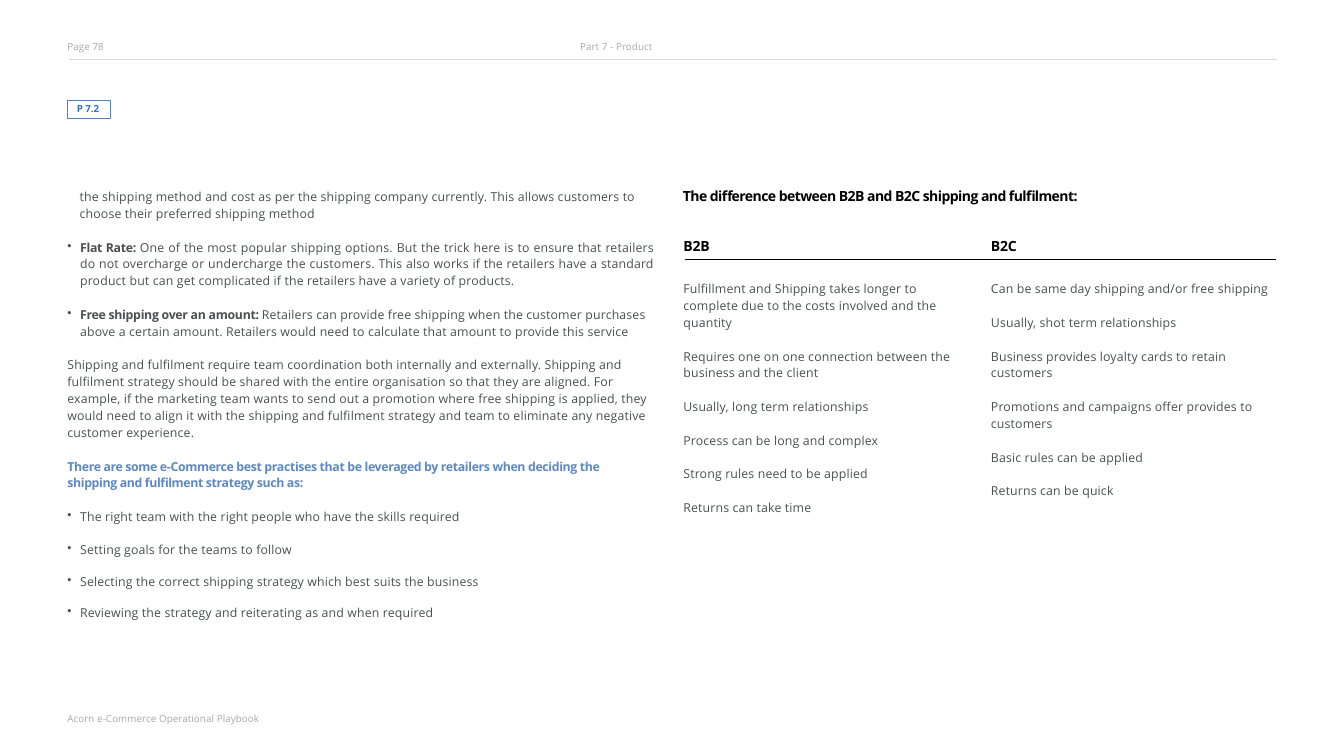
from lxml import etree
from pptx import Presentation
from pptx.dml.color import RGBColor
from pptx.enum.shapes import MSO_CONNECTOR, MSO_SHAPE
from pptx.enum.text import MSO_ANCHOR, PP_ALIGN
from pptx.oxml.ns import qn
from pptx.util import Cm, Pt

LINE = MSO_CONNECTOR.STRAIGHT
RECT = MSO_SHAPE.RECTANGLE
TOP = MSO_ANCHOR.TOP
LEFT, JUST = PP_ALIGN.LEFT, PP_ALIGN.JUSTIFY
FACE = "Open Sans"
ROW = 0.7
LEAD = 1.14

STYLES = {
    "body": ({"size": Pt(14.5), "bold": False}, "4B4F51", 17),
    "term": ({"size": Pt(14.5), "bold": True}, "4B4F51", -35),
    "lead": ({"size": Pt(14.5), "bold": True}, "5D88C0", -42),
    "title": ({"size": Pt(16.5), "bold": True}, "000000", -63),
    "head": ({"size": Pt(16.5), "bold": True}, "000000", -20),
    "note": ({"size": Pt(11.5), "bold": False}, "A7A8AA", 10),
    "tag": ({"size": Pt(11.5), "bold": True}, "2E75B5", -15),
}

ADVICE = [
    (2, 23.4, 0.51, LEFT, False, [("body", "the shipping method and cost as per the shipping company currently. "
     "This allows customers to choose their preferred shipping method")]),
    (3, 24.41, 0, JUST, True, [("term", "Flat Rate: "), ("body", "One of the most popular shipping options. "
     "But the trick here is to ensure that retailers do not overcharge or undercharge the customers. "
     "This also works if the retailers have a standard product but can get complicated "
     "if the retailers have a variety of products.")]),
    (2, 24.65, 0, LEFT, True, [("term", "Free shipping over an amount: "),
     ("body", "Retailers can provide free shipping when the customer purchases above a certain amount. "
      "Retailers would need to calculate that amount to provide this service")]),
    (5, 24.45, 0, LEFT, False, [("body", "Shipping and fulfilment require team coordination both internally "
     "and externally. Shipping and fulfilment strategy should be shared with the entire organisation "
     "so that they are aligned. For example, if the marketing team wants to send out a promotion "
     "where free shipping is applied, they would need to align it with the shipping and fulfilment "
     "strategy and team to eliminate any negative customer experience.")]),
    (2, 23.6, 0, LEFT, False, [("lead", "There are some e-Commerce best practises that be leveraged by retailers "
     "when deciding the shipping and fulfilment strategy such as:")]),
    (1, 17.3, 0, LEFT, True, [("body", "The right team with the right people who have the skills required")]),
]
GOALS = [
    "Setting goals for the teams to follow",
    "Selecting the correct shipping strategy which best suits the business",
    "Reviewing the strategy and reiterating as and when required",
]
TRADE = [
    (3, 10.75, "Fulfillment and Shipping takes longer to complete due to the costs involved and the quantity"),
    (2, 11.3, "Requires one on one connection between the business and the client"),
    (1, 9, "Usually, long term relationships"),
    (1, 9, "Process can be long and complex"),
    (1, 9, "Strong rules need to be applied"),
    (1, 9, "Returns can take time"),
]
RETAIL = [
    (1, 11.8, "Can be same day shipping and/or free shipping"),
    (1, 9, "Usually, shot term relationships"),
    (2, 10, "Business provides loyalty cards to retain customers"),
    (2, 11.05, "Promotions and campaigns offer provides to customers"),
    (1, 9, "Basic rules can be applied"),
    (1, 9, "Returns can be quick"),
]


def paint(code):
    """Turn a hex string into a colour."""
    return RGBColor.from_string(code)


def write(para, parts, dot=False, pad=0.03, lead=1.0, align=LEFT):
    """Fill a paragraph with styled runs."""
    props = para._p.get_or_add_pPr()
    props.set("marL", str(Cm(0.56 if dot else pad)))
    props.set("indent", str(Cm(-0.53 if dot else 0)))
    if dot:
        etree.SubElement(props, qn("a:buChar")).set("char", "•")
    para.alignment = align
    para.line_spacing = lead
    for style, text in parts:
        form, ink, track = STYLES[style]
        run = para.add_run()
        run.text = text
        for key, value in form.items():
            setattr(run.font, key, value)
        run.font.name = FACE
        run.font.color.rgb = paint(ink)
        run._r.get_or_add_rPr().set("spc", str(track))


def clear(frame, top=0.03):
    """Set the margins, wrap and anchor of a text frame."""
    form = {"margin_left": 0, "margin_right": 0, "margin_bottom": 0,
            "margin_top": Cm(top), "word_wrap": True, "vertical_anchor": TOP}
    for key, value in form.items():
        setattr(frame, key, value)
    return frame


def label(slide, x, y, w, h, parts, **form):
    """Add a text box with one paragraph and return its frame."""
    box = slide.shapes.add_textbox(Cm(x), Cm(y), Cm(w), Cm(h))
    frame = clear(box.text_frame)
    write(frame.paragraphs[0], parts, **form)
    return frame


def rule(slide, x, y, w, ink, thick):
    """Draw a level line."""
    line = slide.shapes.add_connector(LINE, Cm(x), Cm(y), Cm(x + w), Cm(y))
    line.line.color.rgb = paint(ink)
    line.line.width = Pt(thick)
    etree.SubElement(line._element.spPr, qn("a:effectLst"))


def header(slide, x, y, w):
    """Place the page number, part name, line and section tag."""
    label(slide, x, y, 2, 0.56, [("note", "Page 78")])
    label(slide, x + 21.31, y, 3.6, 0.56, [("note", "Part 7 - Product")])
    rule(slide, x + 0.1, y + 0.79, w, "D8DAD9", 0.1)
    tag = slide.shapes.add_shape(RECT, Cm(x + 0.05), Cm(y + 2.54), Cm(1.75), Cm(0.71))
    tag.shadow.inherit = False
    tag.fill.background()
    tag.line.color.rgb = paint("5383BD")
    tag.line.width = Pt(0.82)
    write(clear(tag.text_frame, 0.08).paragraphs[0], [("tag", "P 7.2")], pad=0.38)


def advice(slide, x, y):
    """Stack the shipping advice, one empty row between blocks."""
    for rows, w, shift, align, dot, parts in ADVICE:
        label(slide, x + shift, y, w, rows * ROW, parts, dot=dot, lead=LEAD, align=align)
        y += (rows + 1) * ROW
    first, *rest = GOALS
    frame = label(slide, x, y + 0.06, 17.5, 3.5, [("body", first)], dot=True)
    for goal in rest:
        para = frame.add_paragraph()
        write(para, [("body", goal)], dot=True)
        para.space_before = Pt(19.7)


def column(slide, x, y, name, items):
    """Place a column name and its points below."""
    label(slide, x, y, 2, 0.76, [("head", name)])
    y += 1.72
    for rows, w, text in items:
        label(slide, x, y, w, rows * ROW, [("body", text)], lead=LEAD)
        y += (rows + 1) * ROW


def compare(slide, x, y, w):
    """Set the two kinds of trade side by side."""
    label(slide, x, y, 17.4, 0.76,
          [("title", "The difference between B2B and B2C shipping and fulfilment:")])
    column(slide, x + 0.02, y + 2.09, "B2B", TRADE)
    column(slide, x + 12.8, y + 2.09, "B2C", RETAIL)
    rule(slide, x + 0.1, y + 3.02, w, "000101", 0.82)


def main():
    """Build the slide and save it."""
    deck = Presentation()
    deck.slide_width, deck.slide_height = Cm(55.85), Cm(31.42)
    slide = deck.slides.add_slide(deck.slide_layouts[6])
    header(slide, 2.77, 1.65, 50.19)
    advice(slide, 2.77, 7.75)
    compare(slide, 28.35, 7.77, 24.59)
    label(slide, 2.77, 29.59, 8.6, 0.6, [("note", "Acorn e-Commerce Operational Playbook")])
    deck.save("out.pptx")


if __name__ == "__main__":
    main()
